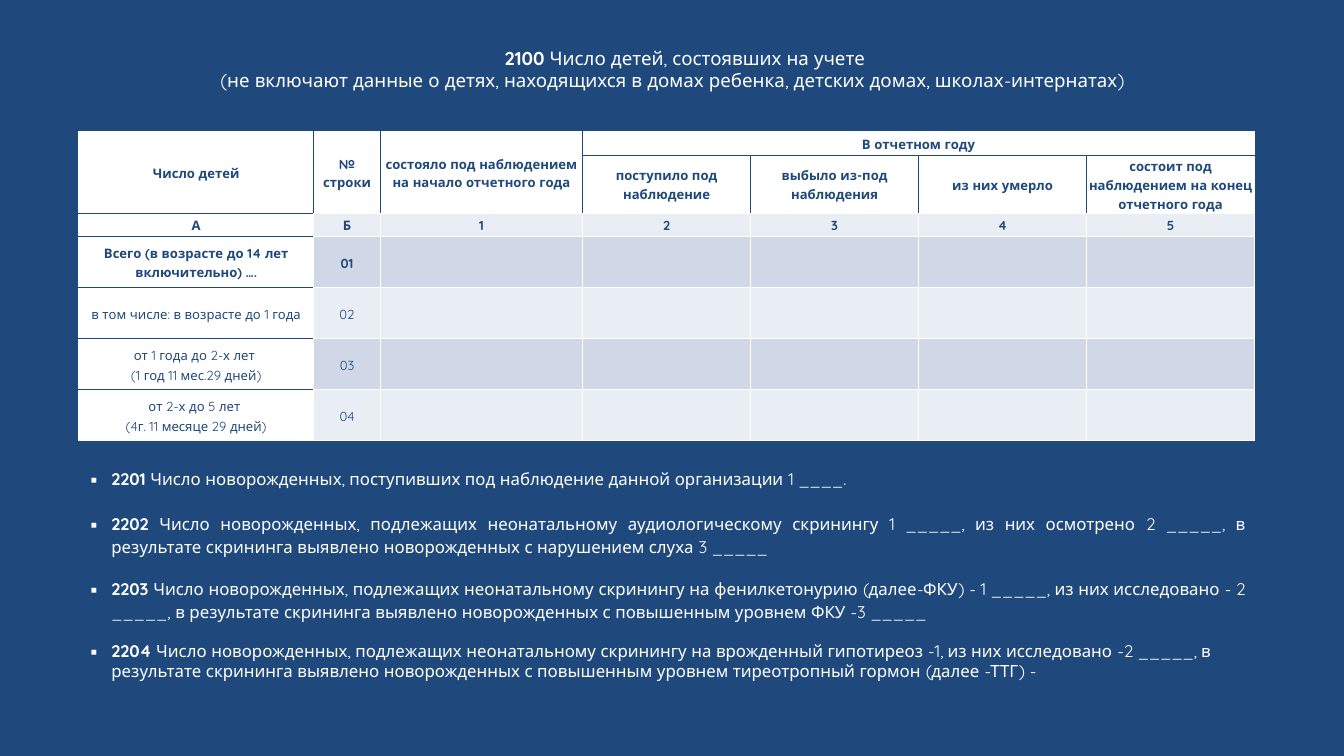
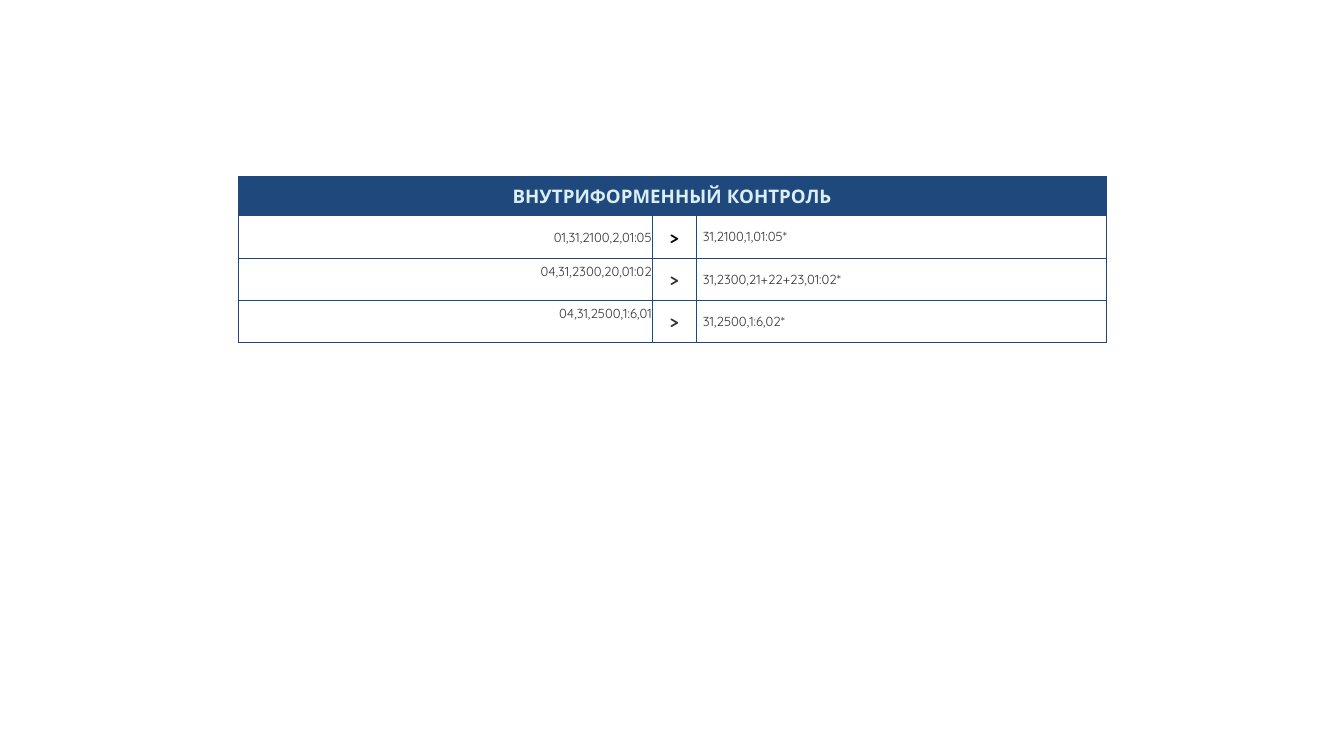
"""Builds two slides on child registration: the report form and its control table."""
from dataclasses import dataclass

from lxml import etree
from pptx import Presentation
from pptx.dml.color import RGBColor
from pptx.enum.text import MSO_ANCHOR, MSO_AUTO_SIZE, PP_ALIGN
from pptx.oxml.ns import qn
from pptx.util import Emu, Pt

EMU_PER_PX = 9144
MIDDLE = MSO_ANCHOR.MIDDLE
NO_FIT = MSO_AUTO_SIZE.NONE
LEFT, CENTER, RIGHT, JUSTIFY = PP_ALIGN.LEFT, PP_ALIGN.CENTER, PP_ALIGN.RIGHT, PP_ALIGN.JUSTIFY
TITLE_ONLY, BLANK = 5, 6


@dataclass(frozen=True)
class Theme:
    font: str = "Quicksand"
    navy: str = "1F497D"
    white: str = "FFFFFF"
    black: str = "000000"
    gray: str = "333333"
    ice: str = "DBEEF4"
    band_light: str = "E9EDF4"
    band_dark: str = "D0D8E8"
    title: int = 20
    body: int = 18
    cell: int = 14
    spacing: float = 1.15


@dataclass(frozen=True)
class Box:
    x: int
    y: int
    w: int
    h: int


@dataclass(frozen=True)
class Style:
    size: int
    color: str
    bold: bool = False
    align: PP_ALIGN = CENTER


@dataclass(frozen=True)
class Item:
    code: str
    text: str
    align: PP_ALIGN = JUSTIFY
    spacing: float = 1.0


THEME = Theme()
TITLE_BOX = Box(269, 60, 1463, 86)
FORM_AT, FORM_COLS = (117, 196), [350, 99, 301, 250, 250, 250, 250]
FORM_ROWS = [35, 67, 35, 76, 76, 76, 76]
FORM = [
    ["Число детей", "№ строки", "состояло под наблюдением на начало отчетного года", "В отчетном году"],
    ["", "", "", "поступило под наблюдение", "выбыло из-под наблюдения", "из них умерло",
     "состоит под наблюдением на конец отчетного года"],
    ["А", "Б", "1", "2", "3", "4", "5"],
    ["Всего (в возрасте до 14 лет включительно) ….", "01"],
    ["в том числе: в возрасте до 1 года", "02"],
    ["от 1 года до 2-х лет \n(1 год 11 мес.29 дней)", "03"],
    ["от 2-х до 5 лет \n(4г. 11 месяце 29 дней)", "04"],
]
FORM_MERGES = [(0, 0, 1, 0), (0, 1, 1, 1), (0, 2, 1, 2), (0, 3, 0, 6)]
LISTS = [
    (Box(125, 688, 1207, 42), [
        Item("2201", " Число новорожденных, поступивших под наблюдение данной организации 1 ____.",
             spacing=THEME.spacing),
    ]),
    (Box(125, 755, 1739, 264), [
        Item("2202", " Число новорожденных, подлежащих неонатальному аудиологическому скринингу 1 _____, "
             "из них осмотрено 2 _____, в результате скрининга выявлено новорожденных "
             "с нарушением слуха 3 _____", spacing=THEME.spacing),
        Item("2203", " Число новорожденных, подлежащих неонатальному скринингу на фенилкетонурию "
             "(далее-ФКУ) - 1 _____, из них исследовано - 2 _____, в результате скрининга выявлено "
             "новорожденных с повышенным уровнем ФКУ -3 _____", spacing=THEME.spacing),
        Item("2204", " Число новорожденных, подлежащих неонатальному скринингу на врожденный "
             "гипотиреоз -1, из них исследовано -2 _____, в результате скрининга выявлено "
             "новорожденных с повышенным уровнем тиреотропный гормон (далее -ТТГ) -", LEFT),
    ]),
]
CONTROL_AT, CONTROL_COLS, CONTROL_ROWS = (354, 263), [617, 65, 610], [58, 63, 63, 63]
CONTROL_TITLE = "ВНУТРИФОРМЕННЫЙ КОНТРОЛЬ"
CONTROL = [
    ("01,31,2100,2,01:05", "31,2100,1,01:05*"),
    ("04,31,2300,20,01:02", "31,2300,21+22+23,01:02*"),
    ("04,31,2500,1:6,01", "31,2500,1:6,02*"),
]


def px(n: int) -> Emu:
    """Turn pixels into EMU."""
    return Emu(n * EMU_PER_PX)


def format_run(r, style: Style) -> None:
    """Apply font, size, weight and colour to a run."""
    r.font.name = THEME.font
    r.font.size = Pt(style.size)
    r.font.bold = style.bold
    r.font.color.rgb = RGBColor.from_string(style.color)


def paint(fill, color: str) -> None:
    """Make a fill solid."""
    fill.solid()
    fill.fore_color.rgb = RGBColor.from_string(color)


def set_indent(p, margin: int, first: int = 0) -> None:
    """Set the left margin and first-line indent of a paragraph."""
    pPr = p._p.get_or_add_pPr()
    pPr.set("marL", str(px(margin)))
    pPr.set("indent", str(px(first)))


def add_slide(prs, layout: int, color: str):
    """Add a slide with a plain background."""
    s = prs.slides.add_slide(prs.slide_layouts[layout])
    paint(s.background.fill, color)
    return s


def add_table(s, at: tuple[int, int], cols: list[int], rows: list[int]):
    """Add a table without the banded style options."""
    sp = s.shapes.add_table(len(rows), len(cols), px(at[0]), px(at[1]), px(sum(cols)), px(sum(rows)))
    table = sp.table
    table.first_row = table.horz_banding = False
    for col, w in zip(table.columns, cols):
        col.width = px(w)
    for row, h in zip(table.rows, rows):
        row.height = px(h)
    return table


def paint_cell(cell, fill: str, border: str, accents: str = "", accent: str = "") -> None:
    """Draw the four borders, some of them accented, and fill the cell."""
    tcPr = cell._tc.get_or_add_tcPr()
    for side in "LRTB":
        ln = etree.SubElement(tcPr, qn(f"a:ln{side}"), w=str(Pt(1)))
        solid = etree.SubElement(ln, qn("a:solidFill"))
        etree.SubElement(solid, qn("a:srgbClr"), val=accent if side in accents else border)
    paint(cell.fill, fill)
    cell.vertical_anchor = MIDDLE


def set_margins(cell, side: int, bottom: int) -> None:
    """Set narrow cell margins."""
    cell.margin_left = cell.margin_right = cell.margin_top = px(side)
    cell.margin_bottom = px(bottom)


def write_cell(cell, text: str, style: Style) -> None:
    """Put formatted text in a cell."""
    cell.text_frame.text = text
    for p in cell.text_frame.paragraphs:
        p.alignment = style.align
        for r in p.runs:
            format_run(r, style)


def form_accents(r: int, c: int) -> str:
    """Name the navy sides of a form cell."""
    head = r == 1 or (r == 0 and c <= 3)
    rules = {
        "L": head and c > 0,
        "R": head and c < 6 and (r, c) != (0, 3),
        "T": (c == 0 and r >= 2) or (r == 1 and c >= 3),
        "B": (c == 0 and r < 6) or (r == 0 and c >= 3),
    }
    return "".join(side for side, on in rules.items() if on)


def add_title(s) -> None:
    """Place and format the slide title."""
    sp = s.shapes.title
    sp.left, sp.top = px(TITLE_BOX.x), px(TITLE_BOX.y)
    sp.width, sp.height = px(TITLE_BOX.w), px(TITLE_BOX.h)
    geom = etree.SubElement(sp._element.spPr, qn("a:prstGeom"), prst="roundRect")
    etree.SubElement(geom, qn("a:avLst"))
    paint(sp.fill, THEME.navy)
    tf = sp.text_frame
    tf.text = ("2100 Число детей, состоявших на учете\n"
               "(не включают данные о детях, находящихся в домах ребенка, детских домах, школах-интернатах)")
    tf.word_wrap = True
    tf.auto_size = NO_FIT
    tf.vertical_anchor = MIDDLE
    first, second = tf.paragraphs
    code, rest = first.text.split(" ", 1)
    first.text = code
    first.add_run().text = f" {rest}"
    for p, margin in ((first, 37), (second, 0)):
        set_indent(p, margin)
        p.alignment = CENTER
        for r in p.runs:
            format_run(r, Style(THEME.title, THEME.white, r.text == code))


def add_list(s, box: Box, items: list[Item]) -> None:
    """Add a bulleted list with bold codes."""
    sp = s.shapes.add_textbox(px(box.x), px(box.y), px(box.w), px(box.h))
    tf = sp.text_frame
    tf.word_wrap = True
    for i, item in enumerate(items):
        p = tf.add_paragraph() if i else tf.paragraphs[0]
        set_indent(p, 31, -31)
        p.alignment = item.align
        p.line_spacing = item.spacing
        if i:
            p.space_before = Pt(20)
        pPr = p._p.get_or_add_pPr()
        etree.SubElement(pPr, qn("a:buFont"), typeface=THEME.font)
        etree.SubElement(pPr, qn("a:buChar"), char="▪")
        for text, bold in ((item.code, True), (item.text, False)):
            r = p.add_run()
            r.text = text
            format_run(r, Style(THEME.body, THEME.white, bold))


def add_form(s) -> None:
    """Add the report form table."""
    table = add_table(s, FORM_AT, FORM_COLS, FORM_ROWS)
    for r1, c1, r2, c2 in FORM_MERGES:
        table.cell(r1, c1).merge(table.cell(r2, c2))
    for r in range(len(FORM_ROWS)):
        band = THEME.band_dark if r % 2 else THEME.band_light
        for c in range(len(FORM_COLS)):
            cell = table.cell(r, c)
            fill = THEME.white if r < 2 or c == 0 else band
            paint_cell(cell, fill, THEME.white, form_accents(r, c), THEME.navy)
    for r, texts in enumerate(FORM):
        for c, text in enumerate(texts):
            cell = table.cell(r, c)
            if not cell.is_spanned:
                set_margins(cell, 1, 1)
                write_cell(cell, text, Style(THEME.cell, THEME.navy, r < 4))
                for p in cell.text_frame.paragraphs:
                    p.line_spacing = THEME.spacing
                    p.space_after = Pt(1)


def add_control(s) -> None:
    """Add the control table."""
    table = add_table(s, CONTROL_AT, CONTROL_COLS, CONTROL_ROWS)
    table.cell(0, 0).merge(table.cell(0, 2))
    for r in range(len(CONTROL_ROWS)):
        for c in range(len(CONTROL_COLS)):
            paint_cell(table.cell(r, c), THEME.white if r else THEME.navy, THEME.navy)
    write_cell(table.cell(0, 0), CONTROL_TITLE, Style(THEME.title, THEME.ice, True))
    for r, (left, right) in enumerate(CONTROL, 1):
        set_margins(table.cell(r, 0), 1, 0 if r == 1 else 24)
        write_cell(table.cell(r, 0), left, Style(THEME.cell, THEME.gray, align=RIGHT))
        write_cell(table.cell(r, 1), ">", Style(THEME.body, THEME.black if r == 1 else THEME.gray, True))
        write_cell(table.cell(r, 2), right, Style(THEME.cell, THEME.gray, align=LEFT))


def main() -> None:
    """Build and save the presentation."""
    prs = Presentation()
    prs.slide_width, prs.slide_height = px(2000), px(1125)
    s = add_slide(prs, TITLE_ONLY, THEME.navy)
    add_form(s)
    add_title(s)
    for box, items in LISTS:
        add_list(s, box, items)
    add_control(add_slide(prs, BLANK, THEME.white))
    prs.save("out.pptx")


if __name__ == "__main__":
    main()
